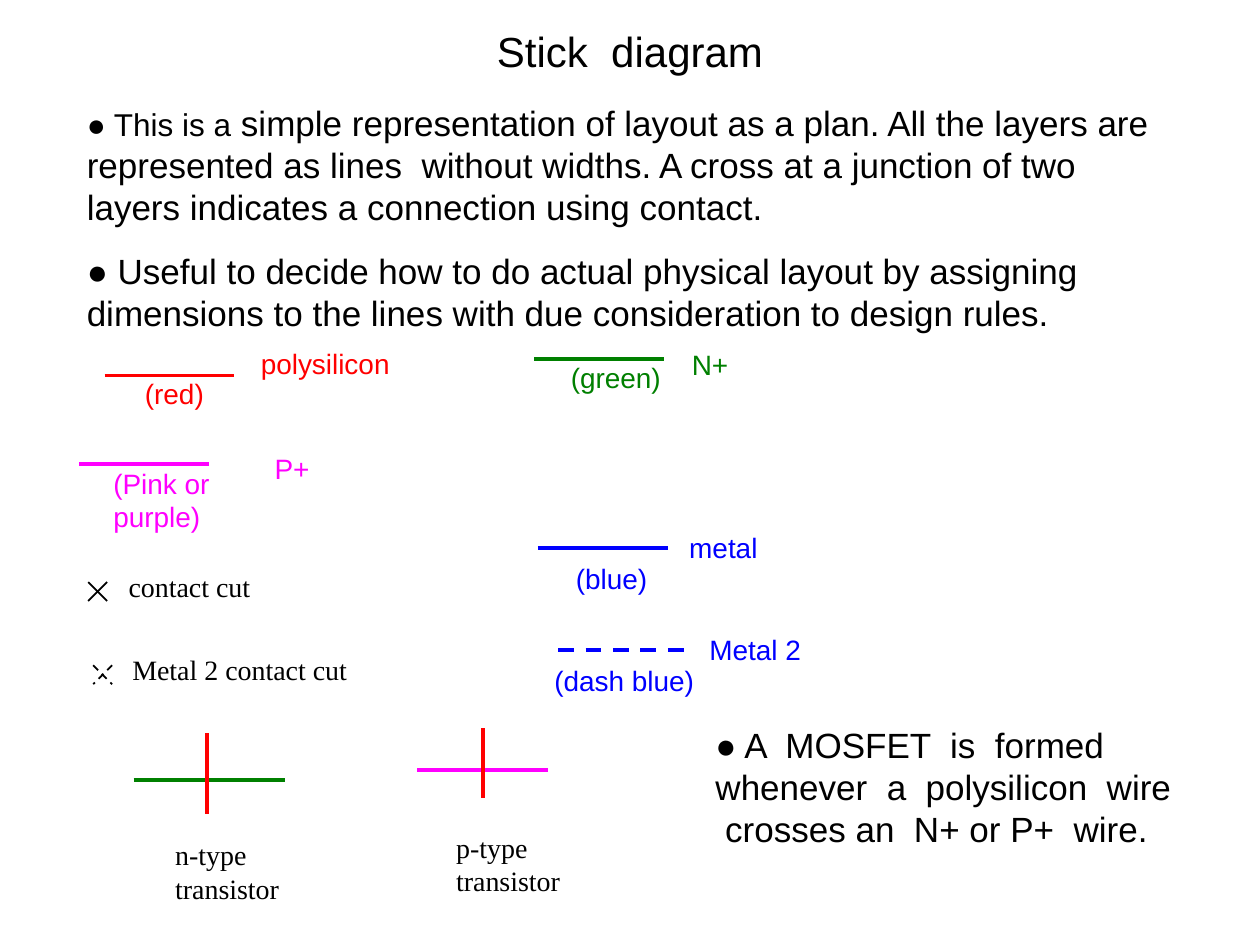
from pptx import Presentation
from pptx.dml.color import RGBColor
from pptx.enum.dml import MSO_LINE
from pptx.enum.shapes import MSO_CONNECTOR
from pptx.enum.text import PP_ALIGN
from pptx.oxml.ns import qn
from pptx.util import Inches, Pt
from lxml import etree

BLACK = RGBColor(0x00, 0x00, 0x00)
RED = RGBColor(0xFF, 0x00, 0x00)
GREEN = RGBColor(0x00, 0x80, 0x00)
BLUE = RGBColor(0x00, 0x00, 0xFF)
PINK = RGBColor(0xFF, 0x00, 0xFF)
STRAIGHT = MSO_CONNECTOR.STRAIGHT
DASH = MSO_LINE.DASH
CENTER = PP_ALIGN.CENTER
SANS, SERIF = "Arial", "Times New Roman"
WIRE_LENGTH = 1.03
CROSS_SIZE = 0.15
PADDING = (0.1, 0.05)

TITLE = "Stick  diagram"
INTRO_LEAD = "● This is a"
INTRO = [
    " simple representation of layout as a plan. All the layers are represented "
    "as lines  without widths. A cross at a junction of two layers indicates a "
    "connection using contact.",
    "● Useful to decide how to do actual physical layout by assigning dimensions "
    "to the lines with due consideration to design rules.",
]
MOSFET = ("● A  MOSFET  is  formed  whenever  a  polysilicon  wire  "
          "crosses an  N+ or P+  wire.")

# Layers: colour, dash, wire start, then (text, box) for name and colour note
LAYERS = [
    (BLUE, None, (4.27, 4.35), ("metal", (5.47, 4.21, 0.61, 0.34)),
     ("(blue)", (4.57, 4.46, 0.72, 0.23))),
    (RED, None, (0.83, 2.98), ("polysilicon", (2.07, 2.75, 1.1, 0.32)),
     ("(red)", (1.15, 2.99, 0.52, 0.28))),
    (GREEN, None, (4.24, 2.85), ("N+", (5.49, 2.76, 1.11, 0.24)),
     ("(green)", (4.53, 2.86, 0.81, 0.28))),
    (PINK, None, (0.63, 3.68), ("P+", (2.18, 3.58, 0.9, 0.21)),
     ("(Pink or purple)", (0.9, 3.7, 1.37, 0.55))),
    (BLUE, DASH, (4.43, 5.16), ("Metal 2", (5.63, 5.02, 0.82, 0.34)),
     ("(dash blue)", (4.4, 5.27, 1.34, 0.23))),
]
# Contact cuts: label, label box, cross corner, dash
CUTS = [
    ("contact cut", (1.02, 4.52, 1.69, 0.23), (0.7, 4.62), None),
    ("Metal 2 contact cut", (1.05, 5.18, 2.11, 0.26), (0.74, 5.28), DASH),
]
# Transistors: name, label box, colour and ends of diffusion, ends of gate
TRANSISTORS = [
    ("n-type", (1.39, 6.65, 0.95, 0.53), GREEN, (1.06, 6.19, 2.26, 6.19),
     (1.64, 5.82, 1.64, 6.46)),
    ("p-type", (3.62, 6.59, 0.95, 0.54), PINK, (3.31, 6.11, 4.35, 6.11),
     (3.83, 5.78, 3.83, 6.33)),
]


def add_text(shapes, box, lines, size, font=SANS, color=BLACK, padding=(0, 0),
             space=0, align=None):
    tf = shapes.add_textbox(*map(Inches, box)).text_frame
    tf.word_wrap = True
    tf.margin_left = tf.margin_right = Inches(padding[0])
    tf.margin_top = tf.margin_bottom = Inches(padding[1])
    for i, line in enumerate(lines):
        p = tf.paragraphs[0] if i == 0 else tf.add_paragraph()
        if i:
            p.space_before = Pt(space)
        if align is not None:
            p.alignment = align
        p.font.size, p.font.name = Pt(size), font
        p.font.color.rgb = color
        for text, run_size in line if isinstance(line, list) else [(line, None)]:
            r = p.add_run()
            r.text = text
            if run_size:
                r.font.size = Pt(run_size)


def add_line(shapes, ends, color, width=2.25, dash=None):
    c = shapes.add_connector(STRAIGHT, *map(Inches, ends))
    c.line.color.rgb = color
    c.line.width = Pt(width)
    if dash is not None:
        c.line.dash_style = dash
    etree.SubElement(c._element.spPr, qn("a:effectLst"))


prs = Presentation()
prs.slide_width, prs.slide_height = Inches(10), Inches(7.5)
s = prs.slides.add_slide(prs.slide_layouts[6])

# Title and explanation
add_text(s.shapes, (0.36, 0.15, 9.28, 0.5), [TITLE], 24, padding=PADDING,
         align=CENTER)
add_text(s.shapes, (0.59, 0.76, 8.72, 1.94),
         [[(INTRO_LEAD, 18), (INTRO[0], None)], INTRO[1]], 20,
         padding=PADDING, space=12.5)

# Layer legend
for color, dash, (x, y), *labels in LAYERS:
    group = s.shapes.add_group_shape().shapes
    add_line(group, (x, y, x + WIRE_LENGTH, y), color, dash=dash)
    for text, box in labels:
        add_text(group, box, [text], 16, color=color)

# Contact cuts
for text, box, (x, y), dash in CUTS:
    group = s.shapes.add_group_shape().shapes
    right, bottom = x + CROSS_SIZE, y + CROSS_SIZE
    add_line(group, (x, y, right, bottom), BLACK, 1, dash)
    add_line(group, (right, y, x, bottom), BLACK, 1, dash)
    add_text(group, box, [text], 16, SERIF)

# MOSFET note
add_text(s.shapes, (5.58, 5.69, 3.85, 1.1), [MOSFET], 20, padding=PADDING)

# Transistors
for name, box, color, diffusion, gate in TRANSISTORS:
    group = s.shapes.add_group_shape().shapes
    add_line(group, diffusion, color)
    add_line(group, gate, RED)
    add_text(group, box, [name, "transistor"], 16, SERIF)

prs.save("out.pptx")
